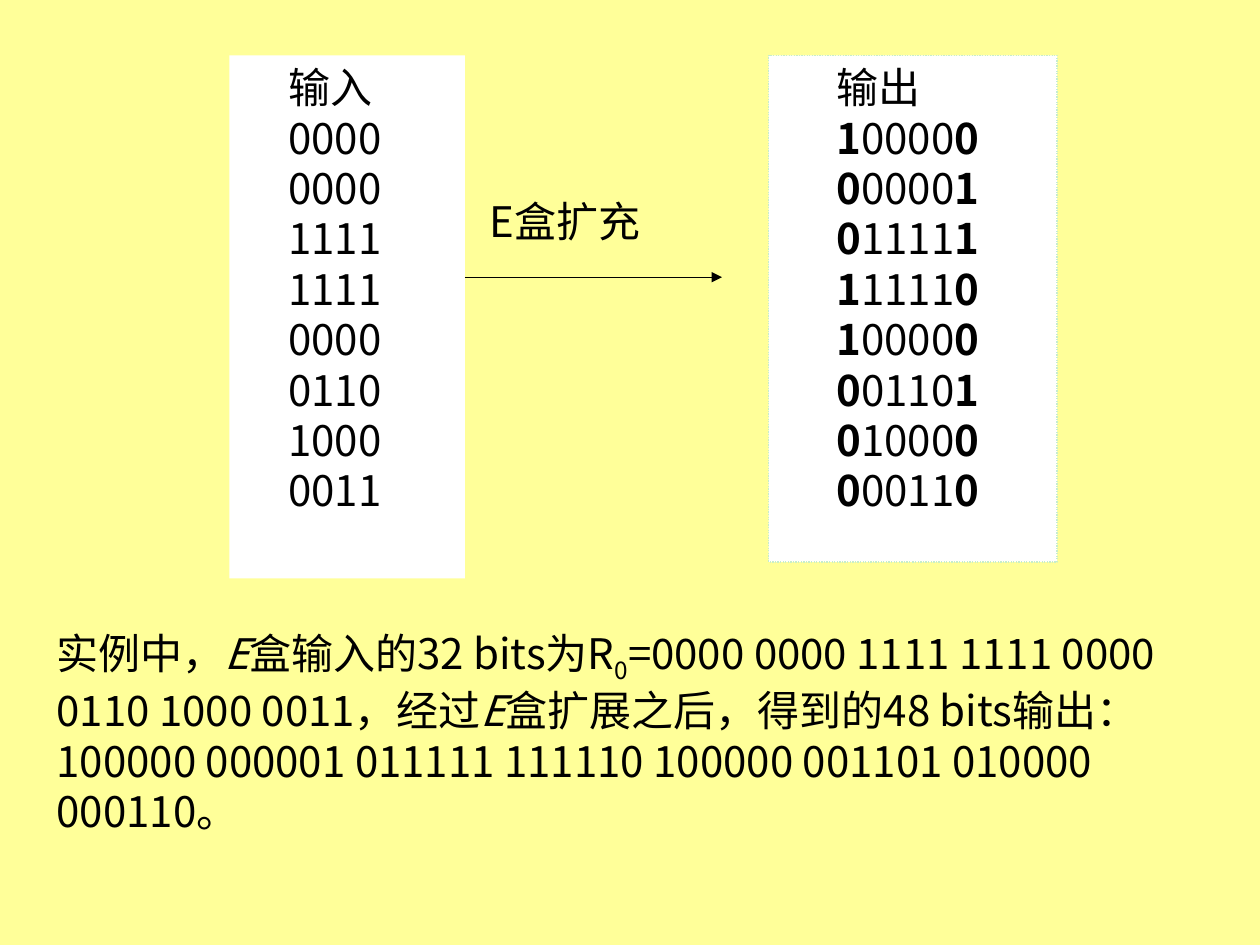
from dataclasses import dataclass

from pptx import Presentation
from pptx import util as u
from pptx.dml.color import RGBColor
from pptx.enum import dml, shapes, text
from pptx.oxml import ns
from lxml import etree


@dataclass(frozen=True)
class Theme:
    font: str = "Noto Sans CJK SC"
    size: int = 24
    ink: str = "000000"
    panel: str = "FFFFFF"
    border: str = "C7EDCC"
    background: str = "FFFF99"
    line_width: float = 0.75


THEME = Theme()
INPUT_BLOCKS = "0000 0000 1111 1111 0000 0110 1000 0011".split()


def color(value):
    return RGBColor.from_string(value)


def box_inches(box):
    return [u.Inches(value) for value in box]


def expand(blocks):
    count = len(blocks)
    return [
        (blocks[index - 1][-1], block, blocks[(index + 1) % count][0])
        for index, block in enumerate(blocks)
    ]


def add_run(paragraph, content, bold=False, italic=False, subscript=False):
    run = paragraph.add_run()
    run.text = content
    font = run.font
    font.name, font.size = THEME.font, u.Pt(THEME.size)
    font.bold, font.italic = bold, italic
    font.color.rgb = color(THEME.ink)
    properties = run._r.get_or_add_rPr()
    etree.SubElement(properties, ns.qn("a:ea"), typeface=THEME.font)
    if subscript:
        properties.set("baseline", "-25000")


def indent_first_line(paragraph, indent):
    paragraph.alignment = text.PP_ALIGN.JUSTIFY
    properties = paragraph._p.get_or_add_pPr()
    properties.set("marL", "0")
    properties.set("indent", str(u.Inches(indent)))


def add_panel(slide, box, indent, title, rows, bordered=False):
    panel = slide.shapes.add_shape(shapes.MSO_SHAPE.RECTANGLE, *box_inches(box))
    panel.shadow.inherit = False
    panel.fill.solid()
    panel.fill.fore_color.rgb = color(THEME.panel)
    if bordered:
        panel.line.color.rgb = color(THEME.border)
        panel.line.width = u.Pt(THEME.line_width)
        panel.line.dash_style = dml.MSO_LINE.ROUND_DOT
    else:
        panel.line.fill.background()
    frame = panel.text_frame
    frame.word_wrap = True
    frame.vertical_anchor = text.MSO_ANCHOR.TOP
    for index, row in enumerate([[(title, False)], *rows]):
        paragraph = frame.paragraphs[0] if index == 0 else frame.add_paragraph()
        indent_first_line(paragraph, indent)
        for content, bold in row:
            add_run(paragraph, content, bold=bold)


def add_text(slide, box):
    frame = slide.shapes.add_textbox(*box_inches(box)).text_frame
    frame.word_wrap = True
    return frame.paragraphs[0]


def add_arrow(slide, start, end):
    arrow = slide.shapes.add_connector(
        shapes.MSO_CONNECTOR.STRAIGHT, *box_inches(start + end)
    )
    arrow.line.color.rgb = color(THEME.ink)
    arrow.line.width = u.Pt(THEME.line_width)
    etree.SubElement(arrow.line._get_or_add_ln(), ns.qn("a:tailEnd"), type="triangle")
    etree.SubElement(arrow._element.spPr, ns.qn("a:effectLst"))


def add_explanation(slide, output_blocks):
    paragraph = add_text(slide, (0.35, 4.93, 9.13, 2.12))
    add_run(paragraph, "实例中，")
    add_run(paragraph, "E", italic=True)
    add_run(paragraph, "盒输入的32 bits为R")
    add_run(paragraph, "0", subscript=True)
    add_run(paragraph, f"={' '.join(INPUT_BLOCKS)}，经过")
    add_run(paragraph, "E", italic=True)
    outputs = " ".join("".join(block) for block in output_blocks)
    add_run(paragraph, f"盒扩展之后，得到的48 bits输出：{outputs}。")


def main():
    presentation = Presentation()
    presentation.slide_width = u.Inches(10)
    presentation.slide_height = u.Inches(7.5)
    slide = presentation.slides.add_slide(presentation.slide_layouts[6])
    slide.background.fill.solid()
    slide.background.fill.fore_color.rgb = color(THEME.background)

    output_blocks = expand(INPUT_BLOCKS)
    input_rows = [[(block, False)] for block in INPUT_BLOCKS]
    output_rows = [
        [(first, True), (block, False), (last, True)]
        for first, block, last in output_blocks
    ]
    add_panel(slide, (1.82, 0.44, 1.87, 4.15), 0.37, "输入", input_rows)
    add_arrow(slide, (3.69, 2.2), (5.73, 2.2))
    add_panel(slide, (6.1, 0.44, 2.29, 4.02), 0.44, "输出", output_rows, bordered=True)
    label = add_text(slide, (3.49, 1.5, 2.24, 0.7))
    indent_first_line(label, 0.3)
    add_run(label, "E盒扩充")
    add_explanation(slide, output_blocks)

    presentation.save("out.pptx")


if __name__ == "__main__":
    main()
